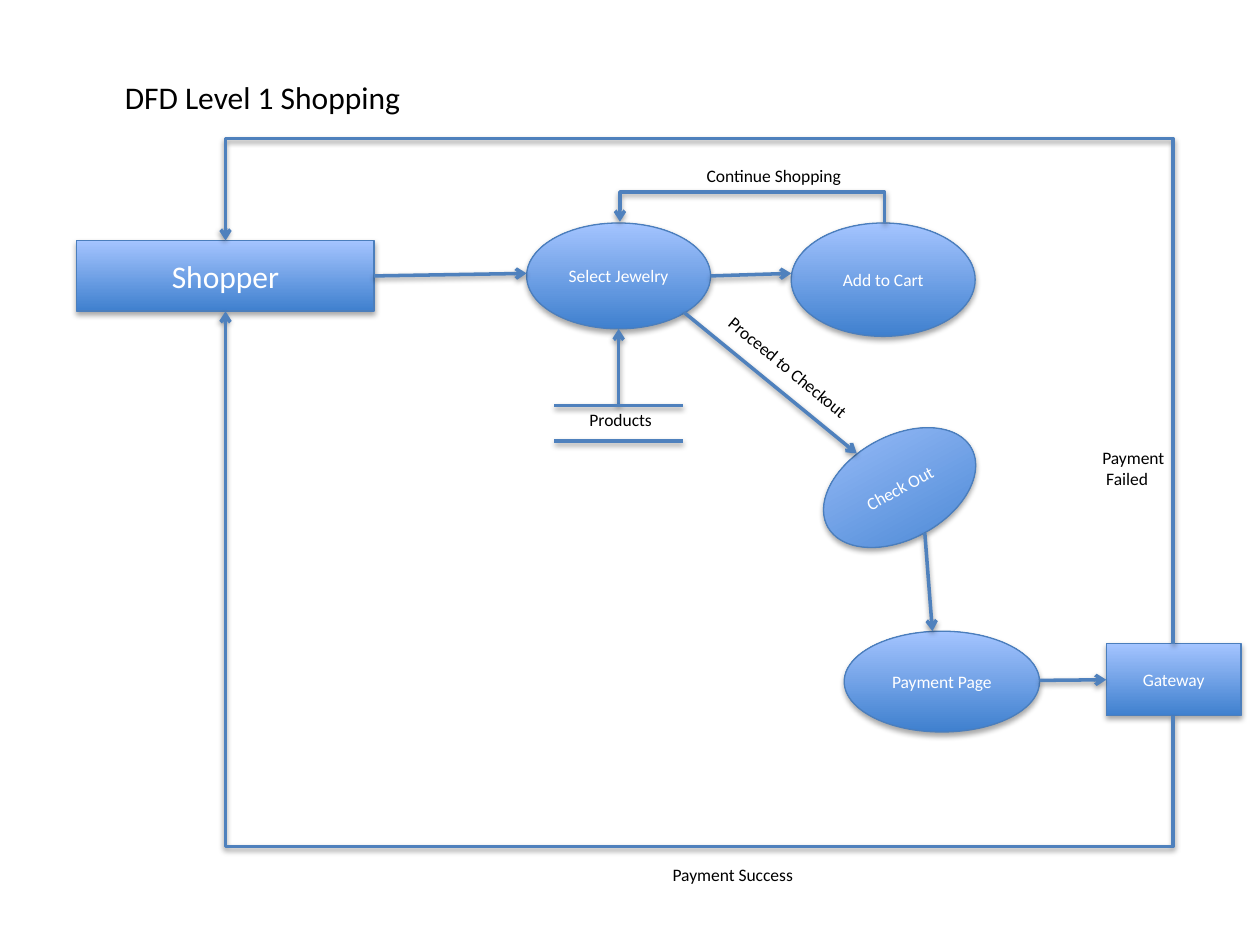
"""Build the level 1 data flow diagram of a shopping site."""
from typing import NamedTuple, Optional

from lxml import etree
from pptx import Presentation
from pptx.dml.color import RGBColor
from pptx.enum.shapes import MSO_CONNECTOR, MSO_SHAPE
from pptx.enum.text import MSO_ANCHOR, MSO_AUTO_SIZE, PP_ALIGN
from pptx.oxml.ns import qn
from pptx.util import Inches, Pt

RECT, OVAL = MSO_SHAPE.RECTANGLE, MSO_SHAPE.OVAL
STRAIGHT, ELBOW = MSO_CONNECTOR.STRAIGHT, MSO_CONNECTOR.ELBOW
LEFT, CENTER = PP_ALIGN.LEFT, PP_ALIGN.CENTER
TOP, MIDDLE = MSO_ANCHOR.TOP, MSO_ANCHOR.MIDDLE
FIT = MSO_AUTO_SIZE.SHAPE_TO_FIT_TEXT
FONT, WHITE, BLACK = "Calibri", "FFFFFF", "000000"
FLOW_BLUE, EDGE_BLUE = "4F81BD", "4B7EBC"
GRADIENT = ("3F80CE", "A4C4FF")


class Node(NamedTuple):
    text: str
    kind: int
    box: tuple
    size: int = 10
    rotation: float = 0


class Label(NamedTuple):
    text: str
    box: tuple
    rotation: float = 0


class Flow(NamedTuple):
    start: tuple
    end: tuple
    source: Optional[str] = None
    target: Optional[str] = None
    arrow: bool = True


class Loop(NamedTuple):
    start: tuple
    end: tuple
    via_y: float


NODES = [
    Node("Shopper", RECT, (0.61, 1.91, 2.36, 0.56), size=18),
    Node("Select Jewelry", OVAL, (4.18, 1.77, 1.46, 0.84)),
    Node("Add to Cart", OVAL, (6.28, 1.77, 1.46, 0.9)),
    Node("Check Out", OVAL, (6.49, 3.46, 1.3, 0.82), rotation=331.5),
    Node("Payment Page", OVAL, (6.7, 5.01, 1.55, 0.8)),
    Node("Gateway", RECT, (8.78, 5.11, 1.07, 0.57)),
]
FLOWS = [
    Flow((2.97, 2.19), (4.18, 2.17), source="Shopper"),
    Flow((4.91, 3.22), (4.91, 2.61)),
    Flow((4.4, 3.22), (5.42, 3.22), arrow=False),
    Flow((4.4, 3.5), (5.42, 3.5), arrow=False),
    Flow((5.64, 2.19), (6.28, 2.17)),
    Flow((5.43, 2.48), (6.8, 3.6)),
    Flow((7.34, 4.23), (7.4, 5.01)),
    Flow((8.25, 5.4), (8.78, 5.4), target="Gateway"),
]
LOOPS = [
    Loop((7.02, 1.77), (4.92, 1.76), 1.52),
    Loop((9.31, 5.68), (1.79, 2.47), 6.72),
    Loop((9.31, 5.11), (1.79, 1.91), 1.1),
]
LABELS = [
    Label("Products", (4.58, 3.2, 0.71, 0.27)),
    Label("Continue Shopping", (5.51, 1.26, 1.28, 0.27)),
    Label("Proceed to Checkout", (5.57, 2.79, 1.39, 0.27), rotation=39.4),
    Label("Payment Success", (5.24, 6.81, 1.18, 0.27)),
    Label("Payment\n Failed", (8.65, 3.5, 0.71, 0.44)),
]


def rgb(color: str) -> RGBColor:
    """Return a colour from its hex string."""
    return RGBColor.from_string(color)


def inches(values: tuple) -> list:
    """Return lengths in inches."""
    return [Inches(v) for v in values]


def set_text(sp, text: str, size: int, color: str, align, anchor) -> None:
    """Fill a shape with text in one style."""
    tf = sp.text_frame
    tf.text = text
    tf.vertical_anchor = anchor
    for p in tf.paragraphs:
        p.alignment = align
        for r in p.runs:
            r.font.name, r.font.size = FONT, Pt(size)
            r.font.color.rgb = rgb(color)


def fit_frame(sp) -> None:
    """Let a shape hug its unwrapped text."""
    sp.text_frame.word_wrap = False
    sp.text_frame.auto_size = FIT


def add_shadow(sp, distance: int, alpha: int) -> None:
    """Give a shape a soft shadow straight below it."""
    effects = etree.SubElement(sp._element.spPr, qn("a:effectLst"))
    shadow = etree.SubElement(effects, qn("a:outerShdw"), blurRad="40000",
                              dist=str(distance), dir="5400000", rotWithShape="0")
    color = etree.SubElement(shadow, qn("a:srgbClr"), val=BLACK)
    etree.SubElement(color, qn("a:alpha"), val=str(alpha * 1000))


def add_node(slide, node: Node):
    """Draw a gradient process or entity."""
    sp = slide.shapes.add_shape(node.kind, *inches(node.box))
    sp.rotation = node.rotation
    sp.fill.gradient()
    sp.fill.gradient_angle = 90
    for stop, color in zip(sp.fill.gradient_stops, GRADIENT):
        stop.color.rgb = rgb(color)
    sp.line.color.rgb = rgb(EDGE_BLUE)
    sp.line.width = Pt(0.75)
    add_shadow(sp, 23000, 35)
    set_text(sp, node.text, node.size, WHITE, CENTER, MIDDLE)
    return sp


def add_label(slide, label: Label) -> None:
    """Draw a caption."""
    sp = slide.shapes.add_textbox(*inches(label.box))
    sp.rotation = label.rotation
    set_text(sp, label.text, 10, BLACK, LEFT, TOP)
    fit_frame(sp)


def add_line(slide, kind, start: tuple, end: tuple, arrow: bool = True):
    """Draw a styled connector."""
    line = slide.shapes.add_connector(kind, *inches(start + end))
    line.line.color.rgb = rgb(FLOW_BLUE)
    line.line.width = Pt(2)
    if arrow:
        etree.SubElement(line.line._get_or_add_ln(), qn("a:tailEnd"), type="arrow")
    add_shadow(line, 20000, 38)
    return line


def add_flow(slide, flow: Flow, shapes: dict) -> None:
    """Draw a straight flow and join it to its rectangles."""
    line = add_line(slide, STRAIGHT, flow.start, flow.end, flow.arrow)
    if flow.source:
        line.begin_connect(shapes[flow.source], 3)
    if flow.target:
        line.end_connect(shapes[flow.target], 1)


def add_loop(slide, loop: Loop) -> None:
    """Draw an elbow that runs vertically, left along via_y, and vertically again."""
    (x1, y1), (x2, y2) = loop.start, loop.end
    line = add_line(slide, ELBOW, loop.start, loop.end)
    width, height = y1 - y2, x1 - x2
    line.left, line.top, line.width, line.height = inches(
        ((x1 + x2 - width) / 2, (y1 + y2 - height) / 2, width, height))
    xfrm = line._element.spPr.find(qn("a:xfrm"))
    xfrm.attrib.pop("flipH", None)
    xfrm.set("rot", "16200000")
    xfrm.set("flipV", "1")
    bend = round((y1 - loop.via_y) / width * 100000)
    guides = line._element.spPr.find(qn("a:prstGeom")).find(qn("a:avLst"))
    etree.SubElement(guides, qn("a:gd"), name="adj1", fmla=f"val {bend}")


def main() -> None:
    """Assemble and save the slide."""
    prs = Presentation()
    prs.slide_width, prs.slide_height = Inches(10), Inches(7.5)
    s = prs.slides.add_slide(prs.slide_layouts[5])
    title = s.shapes.title
    title.left, title.top, title.width, title.height = inches((0.89, 0.57, 2.41, 0.4))
    set_text(title, "DFD Level 1 Shopping", 18, BLACK, LEFT, TOP)
    fit_frame(title)
    shapes = {node.text: add_node(s, node) for node in NODES}
    for flow in FLOWS:
        add_flow(s, flow, shapes)
    for loop in LOOPS:
        add_loop(s, loop)
    for label in LABELS:
        add_label(s, label)
    prs.save("out.pptx")


if __name__ == "__main__":
    main()
